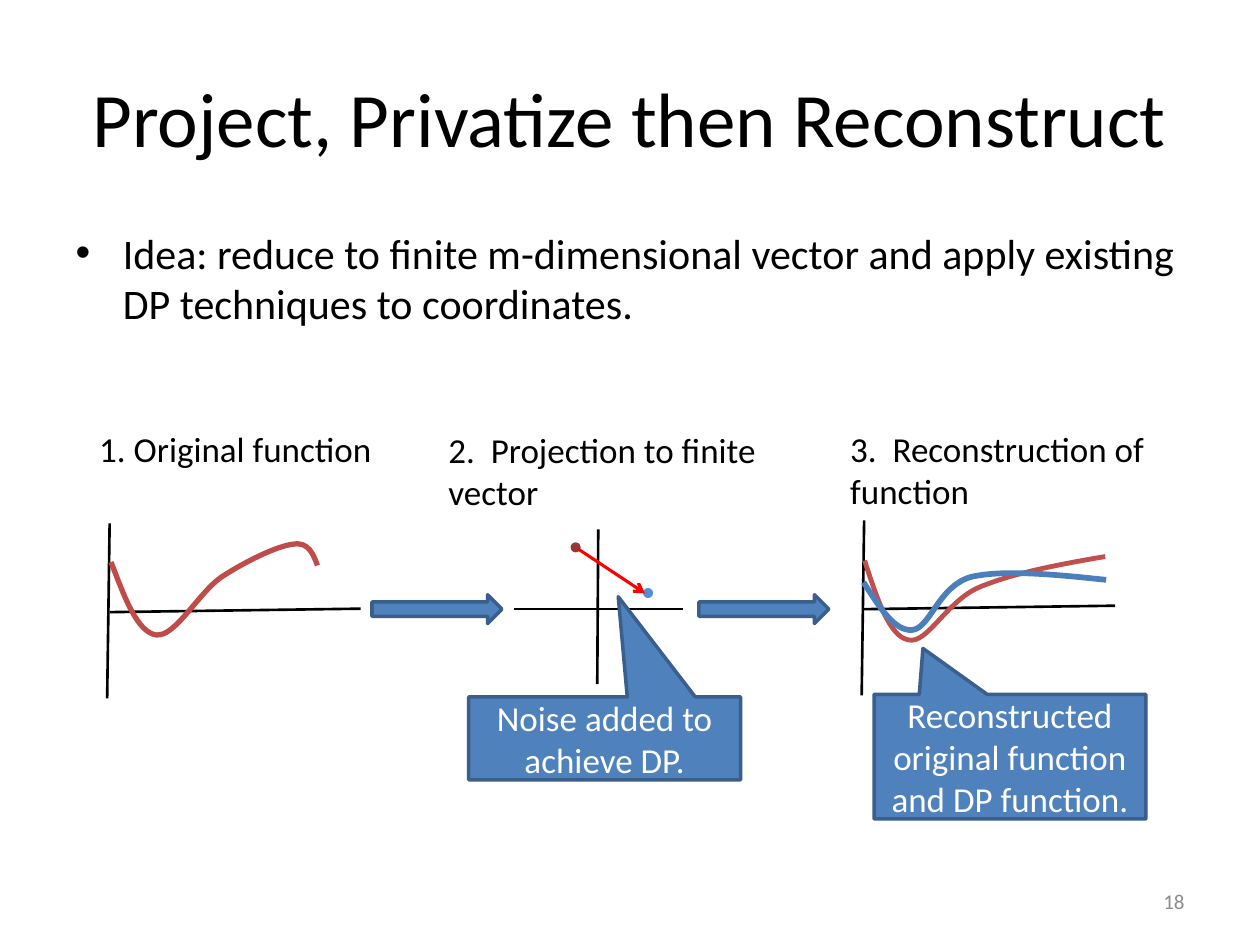
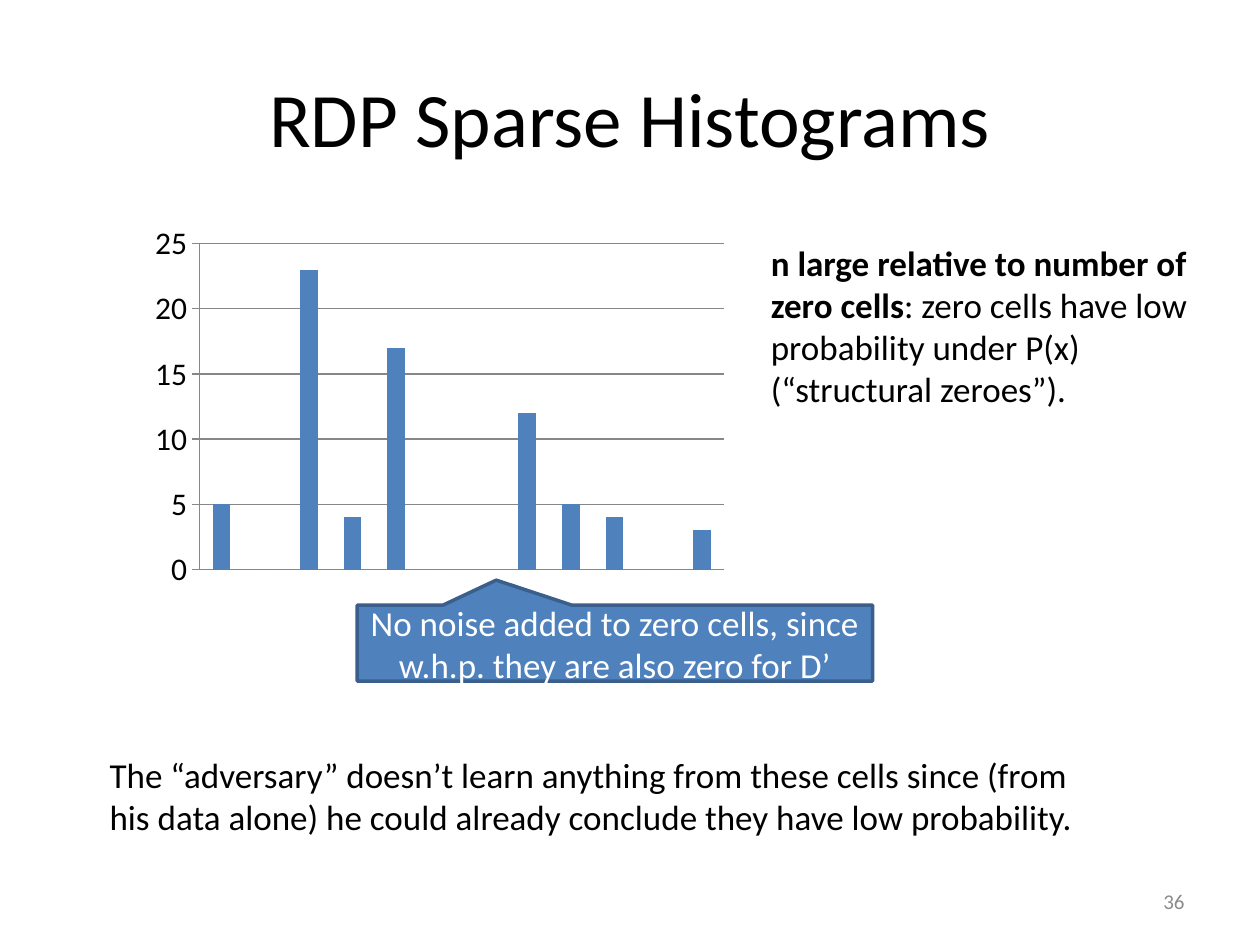
import lxml.etree
import pptx
import pptx.chart.data
import pptx.dml.color
import pptx.enum.chart
import pptx.enum.shapes
import pptx.enum.text
import pptx.oxml.ns
import pptx.util

Cm, Pt = pptx.util.Cm, pptx.util.Pt
SHAPE = pptx.enum.shapes.MSO_SHAPE
ALIGN = pptx.enum.text.PP_ALIGN
ANCHOR = pptx.enum.text.MSO_ANCHOR
qn = pptx.oxml.ns.qn

FONT = "Calibri"
COLORS = {
    "text": "000000",
    "number": "8C8C8C",
    "white": "FFFFFF",
    "accent": "4F81BD",
    "accent_edge": "3A5F8C",
    "function": "BF4C48",
    "function_again": "C0504D",
    "private_function": "4B7EBC",
    "vector": "953735",
    "noisy_vector": "558ED5",
    "noise": "FF0000",
    "grid": "878787",
}
TITLE_AREA = (1.27, 0.76, 22.86, 3.18)
BODY_AREA = (1.27, 4.45, 22.86, 12.57)
NUMBER_AREA = (18.21, 17.65, 5.92, 1.02)


def rgb(name):
    return pptx.dml.color.RGBColor.from_string(COLORS[name])


def place(shape, area):
    shape.left, shape.top, shape.width, shape.height = map(Cm, area)


def style_font(font, size, color="text"):
    font.name = FONT
    font.size = Pt(size)
    font.color.rgb = rgb(color)


def style_line(line, color, width):
    line.color.rgb = rgb(color)
    line.width = Pt(width)


def fill_placeholder(placeholder, area, text, size):
    place(placeholder, area)
    paragraph = placeholder.text_frame.paragraphs[0]
    paragraph.text = text
    paragraph.space_before = Pt(0)
    style_font(paragraph.font, size)


def add_text(slide, area, runs, size=20, color="text", wrap=True):
    """Add a text box; runs is a list of (text, bold) pairs."""
    box = slide.shapes.add_textbox(*map(Cm, area))
    box.text_frame.word_wrap = wrap
    paragraph = box.text_frame.paragraphs[0]
    for text, bold in runs:
        run = paragraph.add_run()
        run.text = text
        run.font.bold = bold
    style_font(paragraph.font, size, color)
    return box


def start_slide(deck, layout, title, number):
    slide = deck.slides.add_slide(deck.slide_layouts.get_by_name(layout))
    fill_placeholder(slide.shapes.title, TITLE_AREA, title, 44)
    footer = add_text(slide, NUMBER_AREA, [(number, False)], 12, "number")
    footer.text_frame.vertical_anchor = ANCHOR.MIDDLE
    footer.text_frame.paragraphs[0].alignment = ALIGN.RIGHT
    return slide


def add_filled(slide, preset, area, fill="accent", edge="accent_edge"):
    shape = slide.shapes.add_shape(preset, *map(Cm, area))
    shape.shadow.inherit = False
    shape.fill.solid()
    shape.fill.fore_color.rgb = rgb(fill)
    style_line(shape.line, edge, 2)
    return shape


def add_callout(slide, area, tip, text):
    """Add a callout whose tip is relative to its centre, in widths and heights."""
    callout = add_filled(slide, SHAPE.RECTANGULAR_CALLOUT, area)
    callout.adjustments[0], callout.adjustments[1] = tip
    callout.text_frame.word_wrap = True
    callout.text_frame.vertical_anchor = ANCHOR.MIDDLE
    paragraph = callout.text_frame.paragraphs[0]
    paragraph.text = text
    paragraph.alignment = ALIGN.CENTER
    style_font(paragraph.font, 20, "white")


def add_line(slide, start, end, color="text", width=1.5, arrow=False):
    line = slide.shapes.add_connector(
        pptx.enum.shapes.MSO_CONNECTOR.STRAIGHT, *map(Cm, start + end))
    style_line(line.line, color, width)
    properties = line._element.spPr
    if arrow:
        outline = properties.find(qn("a:ln"))
        lxml.etree.SubElement(outline, qn("a:tailEnd"), type="arrow")
    lxml.etree.SubElement(properties, qn("a:effectLst"))


def add_function_axes(slide, x, y):
    add_line(slide, (x, y), (x - 0.05, y + 3.53))
    add_line(slide, (x + 5.06, y + 1.72), (x, y + 1.79))


def add_curve(slide, points, color, width):
    """Draw joined cubic Bezier pieces; each piece starts where the last ended."""
    builder = slide.shapes.build_freeform(*map(Cm, points[0]))
    builder.add_line_segments([tuple(map(Cm, point)) for point in points[1:]],
                              close=False)
    curve = builder.convert_to_shape()
    outline = next(curve._element.iter(qn("a:path")))
    segments = outline.findall(qn("a:lnTo"))
    for first in range(0, len(segments), 3):
        piece = lxml.etree.SubElement(outline, qn("a:cubicBezTo"))
        for segment in segments[first:first + 3]:
            piece.append(segment[0])
            outline.remove(segment)
    curve.shadow.inherit = False
    curve.fill.background()
    style_line(curve.line, color, width)


def add_histogram(slide, area, cells, counts):
    data = pptx.chart.data.CategoryChartData()
    data.categories = cells
    data.add_series("Series 1", counts)
    chart = slide.shapes.add_chart(
        pptx.enum.chart.XL_CHART_TYPE.COLUMN_CLUSTERED, *map(Cm, area), data).chart
    chart.has_legend = False
    chart.has_title = False
    style_font(chart.font, 18)
    chart.category_axis.visible = False

    count_axis = chart.value_axis
    count_axis.minimum_scale, count_axis.maximum_scale = 0, 25
    count_axis.major_unit = 5
    count_axis.major_tick_mark = pptx.enum.chart.XL_TICK_MARK.CROSS
    count_axis.has_major_gridlines = True
    for line in (count_axis.format.line, count_axis.major_gridlines.format.line):
        style_line(line, "grid", 0.7)

    plot = chart.plots[0]
    plot.gap_width = 150
    plot.vary_by_categories = False
    bars = plot.series[0].format.fill
    bars.solid()
    bars.fore_color.rgb = rgb("accent")


def build_projection(deck):
    slide = start_slide(deck, "Title and Content",
                        "Project, Privatize then Reconstruct", "18")
    fill_placeholder(
        slide.placeholders[1], BODY_AREA,
        "Idea: reduce to finite m-dimensional vector and apply existing "
        "DP techniques to coordinates.", 24)

    for area, step, wrap in (
            ((1.75, 8.5, 6.07, 1.12), "1. Original function", False),
            ((8.79, 8.51, 7.65, 1.96), "2.  Projection to finite vector", True),
            ((16.89, 8.5, 7.19, 2.01), "3.  Reconstruction of function", True)):
        add_text(slide, area, [(step, False)], wrap=wrap)

    add_function_axes(slide, 2.21, 10.55)
    add_curve(slide, [
        (2.24, 11.33), (2.51, 12.04), (2.77, 12.75), (3.15, 12.8),
        (3.53, 12.85), (4.01, 11.94), (4.47, 11.63),
        (4.93, 11.33), (5.59, 11), (5.92, 10.97),
        (6.22, 10.92), (6.32, 11.18), (6.4, 11.4)], "function", 3)

    add_line(slide, (12.06, 10.67), (12.04, 13.79))
    add_line(slide, (13.76, 12.28), (10.36, 12.28))
    for x, y, color in ((11.54, 10.97, "vector"), (13, 11.89, "noisy_vector")):
        add_filled(slide, SHAPE.OVAL, (x, y, 0.13, 0.13), color, color)
    for x in (7.5, 14.09):
        add_filled(slide, SHAPE.RIGHT_ARROW, (x, 11.99, 2.62, 0.58))
    add_line(slide, (11.66, 11.07), (13, 11.96), "noise", 1.75, arrow=True)
    add_callout(slide, (9.45, 14.05, 5.48, 1.67), (0.05, -1.71),
                "Noise added to achieve DP.")

    add_function_axes(slide, 17.42, 10.49)
    add_curve(slide, [
        (17.43, 11.3), (17.68, 12.07), (17.93, 12.83), (18.31, 12.9),
        (18.69, 13), (19.08, 12.12), (19.74, 11.84),
        (20.4, 11.56), (21.34, 11.38), (22.28, 11.22)], "function_again", 2.75)
    add_curve(slide, [
        (17.41, 11.74), (17.73, 12.24), (18.03, 12.73), (18.39, 12.7),
        (18.75, 12.67), (18.92, 11.81), (19.58, 11.63),
        (20.24, 11.48), (21.26, 11.58), (22.3, 11.69)], "private_function", 3.25)
    add_callout(slide, (17.62, 14, 5.48, 2.51), (-0.32, -0.87),
                "Reconstructed original function and DP function.")


def build_histograms(deck):
    slide = start_slide(deck, "Title Only", "RDP Sparse Histograms", "36")
    add_histogram(slide, (2.89, 4.37, 11.94, 7.65), ("1", "2", "3", "4"),
                  (5, 0, 23, 4, 17, 0, 0, 12, 5, 4, 0, 3))
    add_text(slide, (15.29, 4.75, 8.99, 3.68), [
        ("n large relative to number of zero cells", True),
        (": zero cells have low probability under P(x) (“structural zeroes”).",
         False)])
    add_callout(slide, (7.2, 12.2, 10.39, 1.53), (-0.23, -0.83),
                "No noise added to zero cells, since w.h.p. they are also zero for D’")
    add_text(slide, (1.96, 15.06, 20.65, 1.96), [
        ("The “adversary” doesn’t learn anything from these cells since (from "
         "his data alone) he could already conclude they have low probability.",
         False)])


def main():
    deck = pptx.Presentation()
    deck.slide_width, deck.slide_height = Cm(25.4), Cm(19.05)
    build_projection(deck)
    build_histograms(deck)
    deck.save("out.pptx")


if __name__ == "__main__":
    main()
